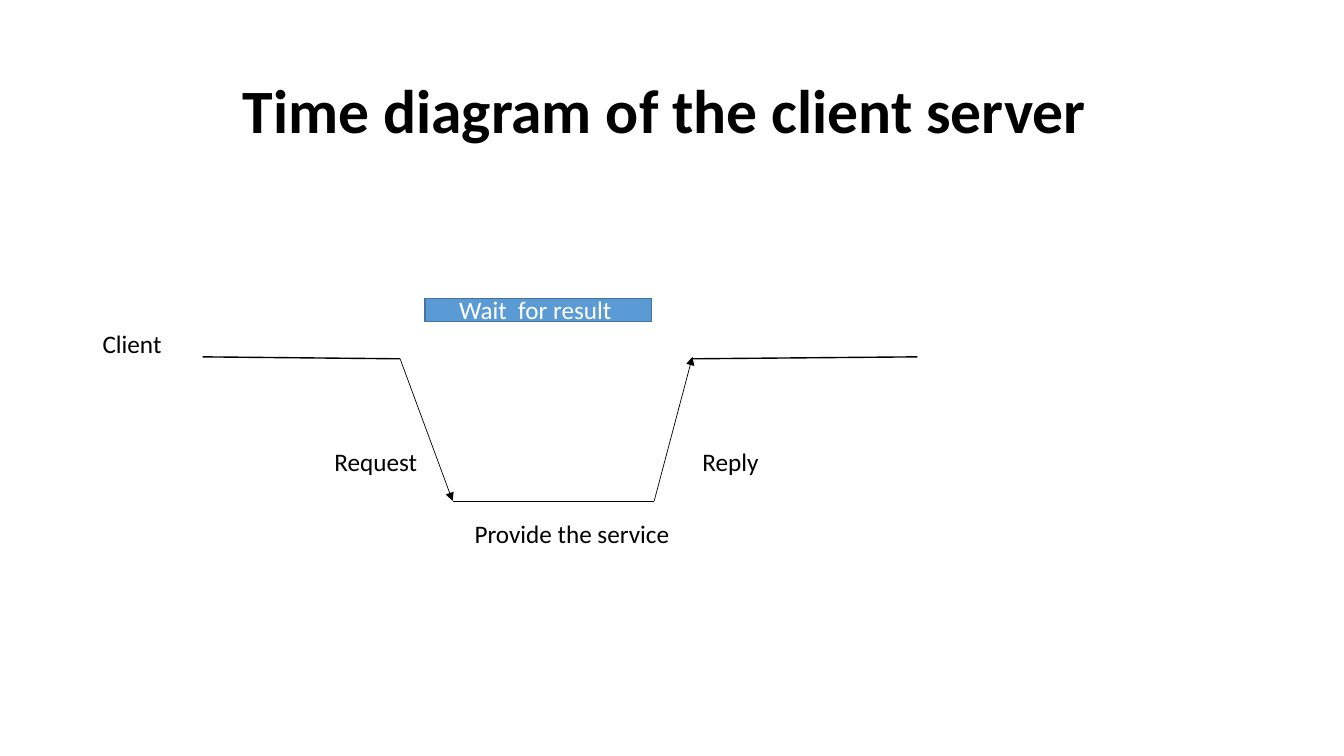
from lxml import etree
from pptx import Presentation
from pptx.dml.color import RGBColor
from pptx.enum.shapes import MSO_CONNECTOR, MSO_SHAPE
from pptx.enum.text import MSO_ANCHOR, MSO_AUTO_SIZE, PP_ALIGN
from pptx.oxml.ns import qn
from pptx.util import Pt

STRAIGHT = MSO_CONNECTOR.STRAIGHT
MINUS = MSO_SHAPE.MATH_MINUS
MIDDLE, TOP = MSO_ANCHOR.MIDDLE, MSO_ANCHOR.TOP
CENTER, LEFT = PP_ALIGN.CENTER, PP_ALIGN.LEFT
FIT_SHAPE, NO_FIT = MSO_AUTO_SIZE.SHAPE_TO_FIT_TEXT, MSO_AUTO_SIZE.NONE


def color(value):
    return RGBColor.from_string(value)


def write(shape, text, size=18, bold=False, fill="000000", align=LEFT,
          anchor=TOP, fit=NO_FIT, wrap=True, spacing=1.0):
    frame = shape.text_frame
    frame.word_wrap = wrap
    frame.auto_size = fit
    frame.vertical_anchor = anchor
    paragraph = frame.paragraphs[0]
    paragraph.text = text
    paragraph.alignment = align
    paragraph.line_spacing = spacing
    paragraph.font.name = "Calibri"
    paragraph.font.size = Pt(size)
    paragraph.font.bold = bold
    paragraph.font.color.rgb = color(fill)


presentation = Presentation()
presentation.slide_width = Pt(960)
presentation.slide_height = Pt(540)
slide = presentation.slides.add_slide(presentation.slide_layouts[6])
shapes = slide.shapes

# Title
title = shapes.add_textbox(Pt(66), Pt(28.8), Pt(828), Pt(104.4))
write(title, "Time diagram of the client server ", size=44, bold=True,
      align=CENTER, anchor=MIDDLE, spacing=0.9)

# Time line: client, request, service, reply, client
client_y, bend_y, server_y = 254.9, 256.3, 357.8
request_x, service_x, service_end_x, reply_x = 285.8, 323.3, 467.3, 494.6
time_line = [
    # start, end, width, arrow
    ((144.7, client_y), (request_x, bend_y), 1, False),
    ((request_x, bend_y), (service_x, server_y), 0.5, True),
    ((service_x, server_y), (service_end_x, server_y), 0.5, False),
    ((service_end_x, server_y), (reply_x, client_y), 0.5, True),
    ((reply_x, bend_y), (655.2, client_y), 1, False),
]
for start, end, width, arrow in time_line:
    connector = shapes.add_connector(
        STRAIGHT, *[Pt(value) for value in start + end])
    connector.line.color.rgb = color("000000")
    connector.line.width = Pt(width)
    if arrow:
        line = connector.line._get_or_add_ln()
        etree.SubElement(line, qn("a:tailEnd"), type="triangle")
    etree.SubElement(connector._element.spPr, qn("a:effectLst"))

# Waiting bar
waiting = shapes.add_shape(MINUS, Pt(274.3), Pt(186.5), Pt(220.3), Pt(69.8))
waiting.shadow.inherit = False
waiting.fill.solid()
waiting.fill.fore_color.rgb = color("5B9BD5")
waiting.line.color.rgb = color("43739E")
waiting.line.width = Pt(1)
write(waiting, "Wait  for result ", fill="FFFFFF", align=CENTER, anchor=MIDDLE)

# Labels
labels = [
    # text, left, top, width, wrap
    ("Client", 66.2, 231.1, 64.8, True),
    ("Request", 231.8, 315.4, 74.2, False),
    ("Provide the service", 331.9, 366.5, 162.7, True),
    ("Reply", 494.6, 315.4, 78.5, True),
]
for text, left, top, width, wrap in labels:
    label = shapes.add_textbox(Pt(left), Pt(top), Pt(width), Pt(29.1))
    write(label, text, fit=FIT_SHAPE, wrap=wrap)

presentation.save("out.pptx")
